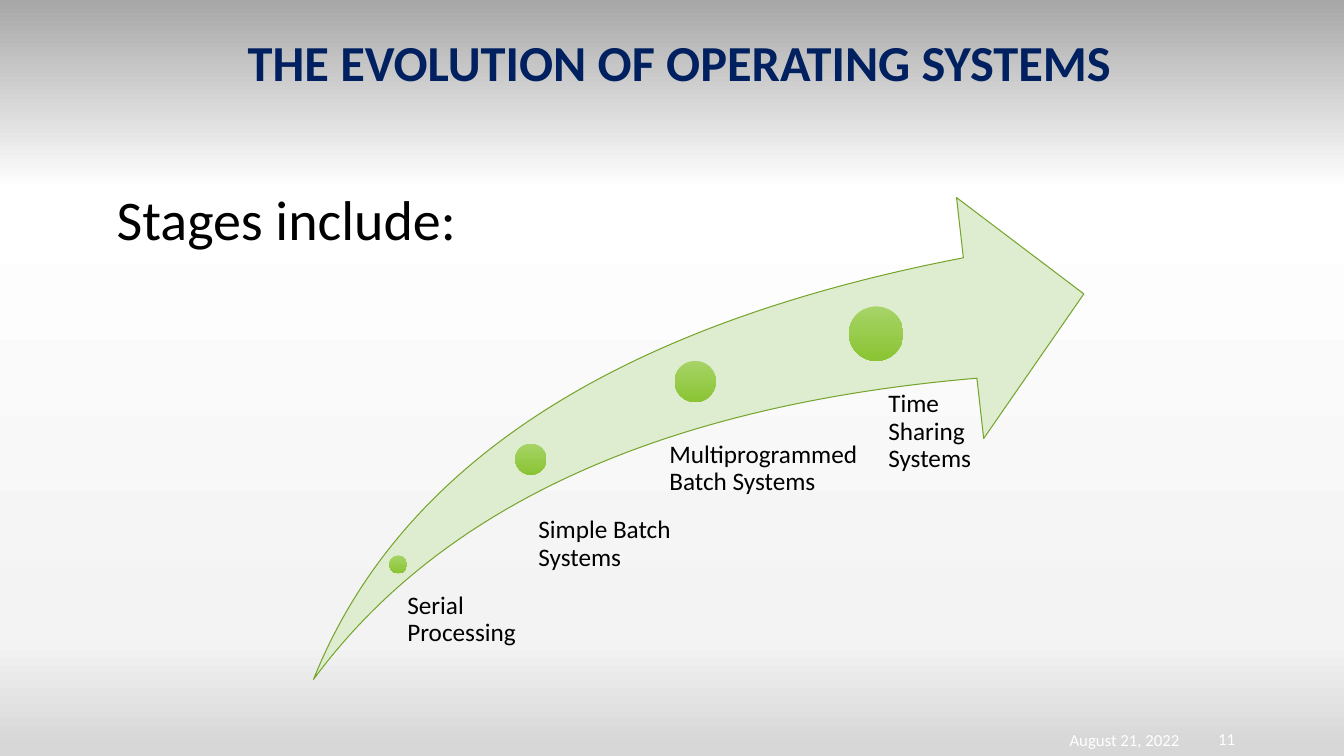
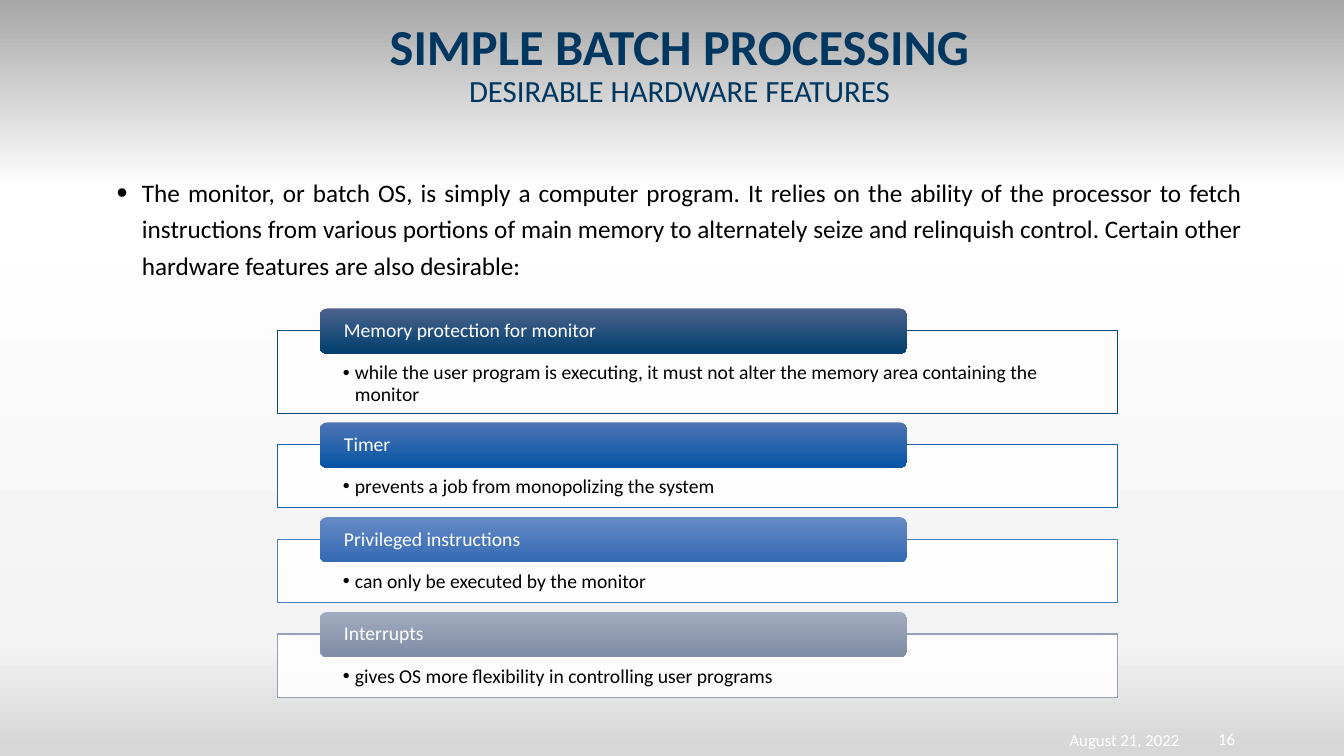
from lxml import etree
from pptx import Presentation
from pptx.dml.color import RGBColor
from pptx.enum import shapes, text
from pptx.oxml.ns import qn
from pptx.util import Inches, Pt

NAVY = RGBColor(0x00, 0x20, 0x60)
TEAL = RGBColor(0x00, 0x37, 0x60)
BLACK = RGBColor(0x00, 0x00, 0x00)
WHITE = RGBColor(0xFF, 0xFF, 0xFF)
SWOOSH = RGBColor(0xDE, 0xED, 0xD0)
SWOOSH_EDGE = RGBColor(0x76, 0xA5, 0x2E)
DOT = [(0, RGBColor(0xA6, 0xD4, 0x67)), (100, RGBColor(0x8A, 0xC4, 0x33))]
BACKDROP = [(0, RGBColor(0xD7, 0xD7, 0xD7)), (2, RGBColor(0xD8, 0xD8, 0xD8)),
            (15, RGBColor(0xF3, 0xF3, 0xF3)), (75, WHITE),
            (100, RGBColor(0xA7, 0xA7, 0xA7))]
FONT = "Calibri"
SHAPE = shapes.MSO_SHAPE
LEFT, CENTER = text.PP_ALIGN.LEFT, text.PP_ALIGN.CENTER
RIGHT, JUSTIFY = text.PP_ALIGN.RIGHT, text.PP_ALIGN.JUSTIFY
TOP, MIDDLE = text.MSO_ANCHOR.TOP, text.MSO_ANCHOR.MIDDLE


class Deck:
    """Holds the shared style and the slide being built."""

    def __init__(self):
        self.prs = Presentation()
        self.prs.slide_width, self.prs.slide_height = Inches(13.33), Inches(7.5)
        master = self.prs.slide_master
        self.gradient(master.background.fill, master.element, BACKDROP, 90)

    def gradient(self, fill, element, stops, angle):
        fill.gradient()
        fill.gradient_angle = angle
        stop_list = element.find(".//" + qn("a:gsLst"))
        for old in list(stop_list):
            stop_list.remove(old)
        for position, color in stops:
            stop = etree.SubElement(stop_list, qn("a:gs"), pos=str(position * 1000))
            etree.SubElement(stop, qn("a:srgbClr"), val=str(color))

    def slide(self, title, color, number):
        self.s = self.prs.slides.add_slide(self.prs.slide_layouts[6])
        tf = self.textbox((1.06, 0.08, 11.36, 1.14), title, 36, color, CENTER,
                          MIDDLE, spacing=0.9)
        runs = tf.paragraphs[0].runs
        runs[0].font.bold = True
        for r in runs[1:]:
            r.font.size = Pt(22)
        flat = (0, 0, 0, 0)
        self.textbox((11.86, 7.22, 0.61, 0.21), number, 12, WHITE, CENTER, MIDDLE, flat)
        self.textbox((10.59, 7.21, 1.11, 0.26), "August 21, 2022", 12, WHITE, RIGHT,
                     MIDDLE, flat)

    def set_text(self, tf, words, size, color, align=LEFT, anchor=TOP,
                 insets=(0.1, 0.05, 0.1, 0.05), spacing=1.0):
        tf.word_wrap = True
        tf.vertical_anchor = anchor
        (tf.margin_left, tf.margin_top,
         tf.margin_right, tf.margin_bottom) = map(Inches, insets)
        tf.text = words
        p = tf.paragraphs[0]
        p.alignment, p.line_spacing = align, spacing
        for r in p.runs:
            r.font.name, r.font.size = FONT, Pt(size)
            r.font.color.rgb = color
        return tf

    def textbox(self, box, *args, **style):
        tf = self.s.shapes.add_textbox(*map(Inches, box)).text_frame
        return self.set_text(tf, *args, **style)

    def body(self, words, size, align=LEFT):
        tf = self.textbox((1.06, 1.65, 11.36, 5.4), words, size, BLACK, align,
                          spacing=1.2)
        tf.paragraphs[0].space_before = Pt(10)
        return tf

    def bullet(self, tf, indent, percent=100):
        pPr = tf.paragraphs[0]._p.get_or_add_pPr()
        pPr.set("marL", str(Inches(indent)))
        pPr.set("indent", str(-Inches(indent)))
        etree.SubElement(pPr, qn("a:buSzPct"), val=str(percent * 1000))
        etree.SubElement(pPr, qn("a:buFont"), typeface="Arial")
        etree.SubElement(pPr, qn("a:buChar"), char="•")

    def shape(self, kind, box, fill, line=None, opacity=100):
        sp = self.s.shapes.add_shape(kind, *map(Inches, box))
        sp.shadow.inherit = False
        if isinstance(fill, list):
            self.gradient(sp.fill, sp.element, fill, 270)
        else:
            sp.fill.solid()
            sp.fill.fore_color.rgb = fill
            if opacity < 100:
                color = sp.element.spPr.find(".//" + qn("a:srgbClr"))
                etree.SubElement(color, qn("a:alpha"), val=str(opacity * 1000))
        if line is None:
            sp.line.fill.background()
        else:
            sp.line.color.rgb = line
            sp.line.width = Pt(0.75)
        return sp

    def stage(self, name, dot, label, inset):
        x, y, size = dot
        self.shape(SHAPE.OVAL, (x, y, size, size), DOT)
        self.textbox(label, name, 18, BLACK, insets=(inset, 0, 0, 0), spacing=0.9)

    def feature(self, y, height, name, detail, edge, shades):
        sp = self.shape(SHAPE.RECTANGLE, (2.75, y, 8.33, height), WHITE, edge, 90)
        tf = self.set_text(sp.text_frame, detail, 14, BLACK,
                           insets=(0.65, 0.32, 0.65, 0.11), spacing=0.9)
        self.bullet(tf, 0.12)
        sp = self.shape(SHAPE.ROUNDED_RECTANGLE, (3.17, y - 0.22, 5.83, 0.45), shades)
        self.set_text(sp.text_frame, name, 14, WHITE, anchor=MIDDLE,
                      insets=(0.22, 0, 0.22, 0), spacing=0.9)


STAGES = [
    ("Serial Processing", (3.86, 5.51, 0.18), (3.95, 5.88, 1.31, 0.58), 0.09),
    ("Simple Batch Systems", (5.11, 4.4, 0.31), (5.18, 5.13, 1.61, 0.87), 0.16),
    ("Multiprogrammed Batch Systems", (6.69, 3.58, 0.41), (6.43, 4.38, 2.3, 0.77), 0.21),
    ("Time Sharing Systems", (8.42, 3.04, 0.54), (8.52, 3.88, 1.39, 1.09), 0.29),
]
FEATURES = [
    (0.82, "Memory protection for monitor",
     "while the user program is executing, it must not alter the memory area "
     "containing the monitor", "00477C", "4B638D", "003E6D"),
    (0.63, "Timer", "prevents a job from monopolizing the system",
     "1A60A8", "4E75B4", "0554A5"),
    (0.63, "Privileged instructions", "can only be executed by the monitor",
     "4B7ABD", "668AC5", "3469B4"),
    (0.63, "Interrupts", "gives OS more flexibility in controlling user programs",
     "95A1B8", "A2ACC0", "7F8CA5"),
]

deck = Deck()

deck.slide("THE EVOLUTION OF OPERATING SYSTEMS", NAVY, "11")
deck.body("Stages include:", 40)
arrow = deck.shape(SHAPE.SWOOSH_ARROW, (3.11, 1.96, 7.64, 4.78), SWOOSH, SWOOSH_EDGE)
arrow.adjustments[0] = arrow.adjustments[1] = 0.25
for stage in STAGES:
    deck.stage(*stage)

deck.slide("SIMPLE BATCH PROCESSING\vDESIRABLE HARDWARE FEATURES", TEAL, "16")
intro = deck.body(
    "The monitor, or batch OS, is simply a computer program. It relies on the ability "
    "of the processor to fetch instructions from various portions of main memory to "
    "alternately seize and relinquish control. Certain other hardware features are "
    "also desirable:", 18, JUSTIFY)
deck.bullet(intro, 0.25, 125)
y = 3.28
for height, name, detail, *colors in FEATURES:
    edge, light, dark = map(RGBColor.from_string, colors)
    deck.feature(y, height, name, detail, edge, [(0, light), (100, dark)])
    y += height + 0.31

deck.prs.save("out.pptx")
